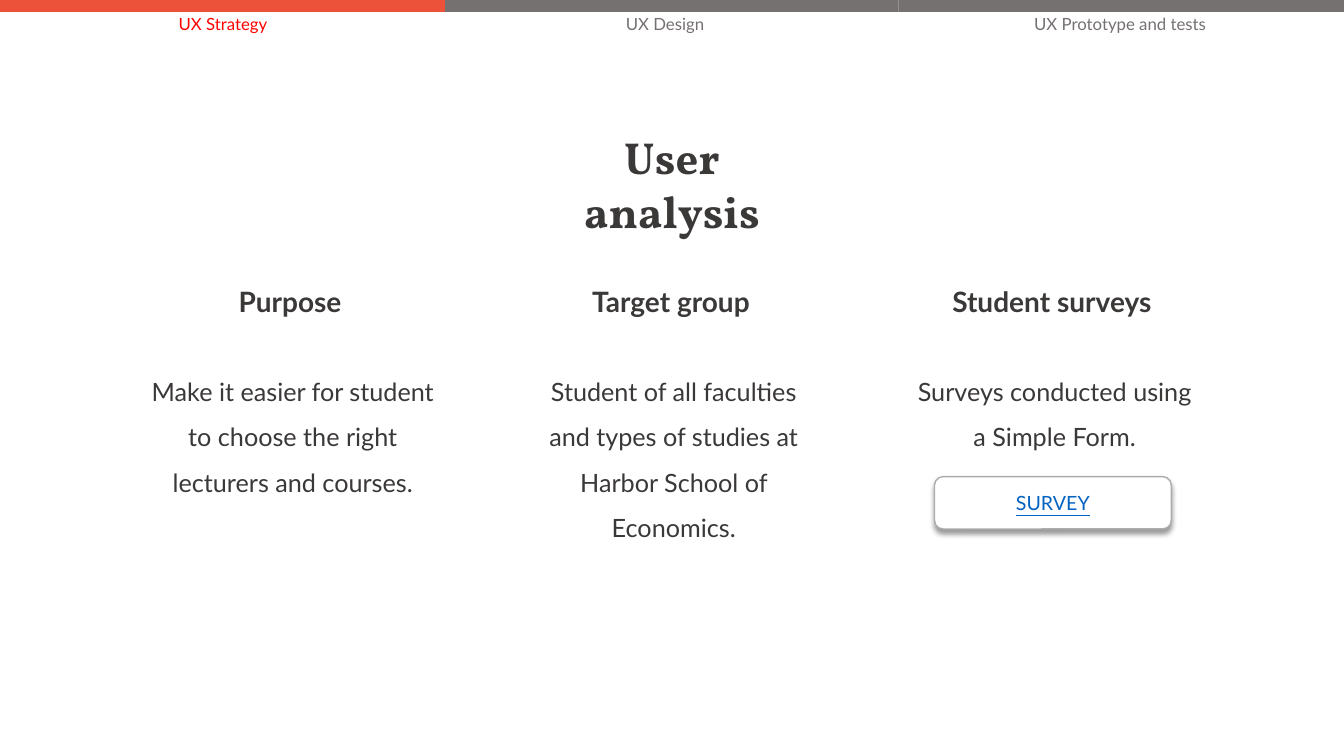
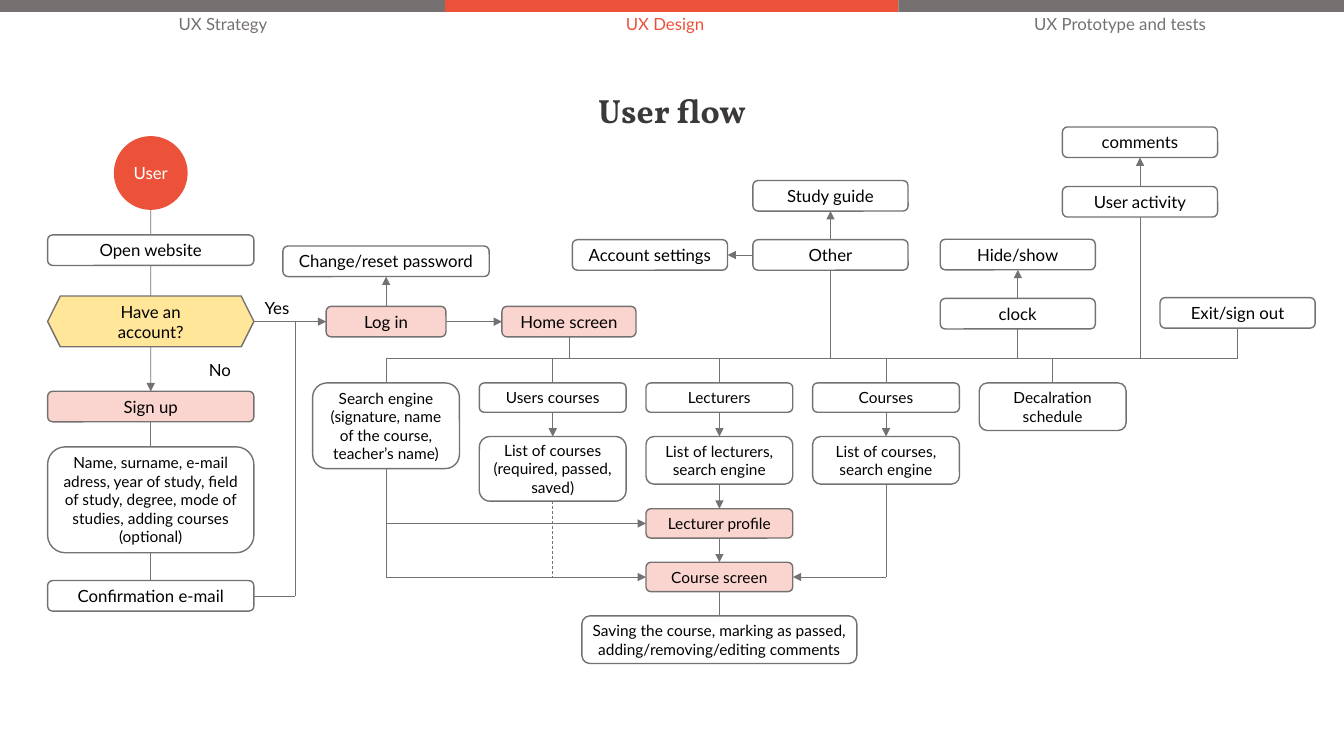
from lxml import etree
from pptx import Presentation
from pptx.dml.color import RGBColor
from pptx.enum.dml import MSO_LINE
from pptx.enum.shapes import MSO_CONNECTOR, MSO_SHAPE
from pptx.enum.text import MSO_ANCHOR, MSO_AUTO_SIZE, PP_ALIGN
from pptx.oxml import parse_xml
from pptx.oxml.ns import nsdecls, qn
from pptx.util import Cm, Pt

RECT, ROUND = MSO_SHAPE.RECTANGLE, MSO_SHAPE.ROUNDED_RECTANGLE
HEXAGON, OVAL = MSO_SHAPE.HEXAGON, MSO_SHAPE.OVAL
STRAIGHT, DASH = MSO_CONNECTOR.STRAIGHT, MSO_LINE.DASH
TOP_ANCHOR, MIDDLE = MSO_ANCHOR.TOP, MSO_ANCHOR.MIDDLE
CENTER, NO_AUTOFIT = PP_ALIGN.CENTER, MSO_AUTO_SIZE.NONE
TOP, LEFT, BOTTOM, RIGHT = range(4)

COLORS = {
    "dark": "3B3838", "gray": "767171", "accent": "EC5239", "red": "FF0000",
    "pink": "FAD4CE", "yellow": "FFE699", "white": "FFFFFF", "black": "000000",
    "button": "AFABAB", "link": "0563C1",
}
BODY_FONT, TITLE_FONT = "Lato", "Vollkorn"
SLIDE_W, SLIDE_H = 33.87, 19.05
TITLE_W = 5.6

STAGES = [
    ("UX Strategy", 0, 11.22, 5.62),
    ("UX Design", 11.22, 22.64, 16.76),
    ("UX Prototype and tests", 22.64, SLIDE_W, 28.23),
]

ANALYSIS = [
    ("Purpose", "Make it easier for student to choose the right lecturers and courses."),
    ("Target group", "Student of all faculties and types of studies at Harbor School of Economics."),
    ("Student surveys", "Surveys conducted using a Simple Form."),
]
ANALYSIS_X, ANALYSIS_PITCH, ANALYSIS_W = 7.38, 9.6, 7.7

USER_X = 3.8
SEARCH_X, USERS_X, LECTURERS_X, COURSES_X, SCHEDULE_X = [9.73 + 4.2 * i for i in range(5)]
OTHER_X, CLOCK_X, ACTIVITY_X, EXIT_X = 20.93, 25.65, 28.73, 31.19
MENU_Y, MENU_TOP, LISTS_TOP = 9.02, 9.65, 11
STEP, SIDE, CELL, LIST = (5.2, 0.77), (3.91, 0.77), (3.7, 0.74), (3.7, 1.2)

NODES = {
    "user": ("User", USER_X, 3.43, (1.86, 1.86), 12, "accent"),
    "open": ("Open website", USER_X, 5.92, STEP, 12, None),
    "account": ("Have an\naccount?", USER_X, 7.46, (5.2, 1.28), 12, "yellow"),
    "sign up": ("Sign up", USER_X, 9.86, STEP, 12, "pink"),
    "details": ("Name, surname, e-mail adress, year of study, field of study, degree, "
                "mode of studies, adding courses (optional)", USER_X, 11.26, (5.2, 2.67), 11, None),
    "confirm": ("Confirmation e-mail", USER_X, 14.63, STEP, 12, None),
    "log in": ("Log in", SEARCH_X, 7.72, (3.02, 0.77), 12, "pink"),
    "reset": ("Change/reset password", SEARCH_X, 6.2, STEP, 12, None),
    "home": ("Home screen", 14.34, 7.72, (3.38, 0.77), 12, "pink"),
    "search": ("Search engine\n(signature, name of the course, teacher’s name)",
               SEARCH_X, MENU_TOP, (3.7, 2.16), 11, None),
    "users": ("Users courses", USERS_X, MENU_TOP, CELL, 11, None),
    "lecturers": ("Lecturers", LECTURERS_X, MENU_TOP, CELL, 11, None),
    "courses": ("Courses", COURSES_X, MENU_TOP, CELL, 11, None),
    "schedule": ("Decalration schedule", SCHEDULE_X, MENU_TOP, LIST, 11, None),
    "users list": ("List of courses (required, passed, saved)",
                   USERS_X, LISTS_TOP, (3.7, 1.63), 11, None),
    "lecturers list": ("List of lecturers, search engine", LECTURERS_X, LISTS_TOP, LIST, 11, None),
    "courses list": ("List of courses, search engine", COURSES_X, LISTS_TOP, LIST, 11, None),
    "profile": ("Lecturer profile", LECTURERS_X, 12.82, CELL, 11, "pink"),
    "screen": ("Course screen", LECTURERS_X, 14.17, CELL, 11, "pink"),
    "saving": ("Saving the course, marking as passed, adding/removing/editing comments",
               LECTURERS_X, 15.52, (6.93, 1.2), 11, None),
    "other": ("Other", OTHER_X, 6.04, SIDE, 12, None),
    "guide": ("Study guide", OTHER_X, 4.55, SIDE, 12, None),
    "settings": ("Account settings", 16.38, 6.04, SIDE, 12, None),
    "clock": ("clock", CLOCK_X, 7.52, SIDE, 12, None),
    "hide": ("Hide/show", CLOCK_X, 6.03, SIDE, 12, None),
    "activity": ("User activity", ACTIVITY_X, 4.7, SIDE, 12, None),
    "comments": ("comments", ACTIVITY_X, 3.2, SIDE, 12, None),
    "exit": ("Exit/sign out", EXIT_X, 7.5, SIDE, 12, None),
}
OUTLINES = {"user": OVAL, "account": HEXAGON}
ANSWERS = [("Yes", 6.98, 7.37), ("No", 5.54, 8.94)]

PLAIN_DOWN = [("user", "open"), ("open", "account"), ("sign up", "details"),
              ("details", "confirm"), ("screen", "saving")]
ARROW_DOWN = [("account", "sign up"), ("users", "users list"), ("lecturers", "lecturers list"),
              ("courses", "courses list"), ("lecturers list", "profile"), ("profile", "screen")]
ARROW_UP = [("log in", "reset"), ("other", "guide"), ("clock", "hide"), ("activity", "comments")]
ARROW_RIGHT = [("account", "log in"), ("log in", "home")]
ABOVE_MENU = ["home", "other", "clock", "activity", "exit"]
BELOW_MENU = ["search", "users", "lecturers", "courses", "schedule"]
RETURN_X = 7.44


def rgb(name):
    return RGBColor.from_string(COLORS[name])


def write(shape, text, size, color, font=BODY_FONT, bold=False, spacing=None,
          anchor=MIDDLE, insets=(0.18, 0)):
    frame = shape.text_frame
    frame.text = text
    frame.word_wrap = True
    frame.auto_size = NO_AUTOFIT
    frame.vertical_anchor = anchor
    frame.margin_left = frame.margin_right = Cm(insets[0])
    frame.margin_top = frame.margin_bottom = Cm(insets[1])
    for paragraph in frame.paragraphs:
        paragraph.alignment = CENTER
        paragraph.line_spacing = spacing
        paragraph.font.name = font
        paragraph.font.size = Pt(size)
        paragraph.font.bold = bold
        paragraph.font.color.rgb = rgb(color)


def add_label(slide, text, center, top, width, height, size, color, **style):
    label = slide.shapes.add_textbox(Cm(center - width / 2), Cm(top), Cm(width), Cm(height))
    write(label, text, size, color, **style)


def add_box(slide, outline, left, top, width, height, fill, line=None):
    box = slide.shapes.add_shape(outline, Cm(left), Cm(top), Cm(width), Cm(height))
    box.shadow.inherit = False
    if fill:
        box.fill.solid()
        box.fill.fore_color.rgb = rgb(fill)
    else:
        box.fill.background()
    if line:
        box.line.color.rgb = rgb(line)
        box.line.width = Pt(1)
    else:
        box.line.fill.background()
    return box


def add_slide(prs, title, title_top, title_h, title_size, active, active_color):
    slide = prs.slides.add_slide(prs.slide_layouts[5])
    heading = slide.shapes.title
    heading.left, heading.top = Cm((SLIDE_W - TITLE_W) / 2), Cm(title_top)
    heading.width, heading.height = Cm(TITLE_W), Cm(title_h)
    write(heading, title, title_size, "dark", font=TITLE_FONT, bold=True,
          anchor=TOP_ANCHOR, insets=(0.25, 0.13))
    for stage, start, end, center in STAGES:
        current = stage == active
        add_box(slide, RECT, start, 0, end - start, 0.3, "accent" if current else "gray")
        add_label(slide, stage, center, 0.23, 6, 0.76, 12, active_color if current else "gray")
    return slide


def build_analysis(prs):
    slide = add_slide(prs, "User analysis", 3.15, 3.2, 32, "UX Strategy", "red")
    for i, (head, body) in enumerate(ANALYSIS):
        center = ANALYSIS_X + i * ANALYSIS_PITCH
        add_label(slide, head, center - 0.07, 7.06, ANALYSIS_W, 1.04, 20, "dark", bold=True)
        add_label(slide, body, center, 8.97, ANALYSIS_W, 4.7, 18, "dark", spacing=1.5,
                  anchor=TOP_ANCHOR, insets=(0.25, 0.13))
    survey = add_box(slide, ROUND, 23.55, 12.01, 5.97, 1.32, "white", "button")
    write(survey, "SURVEY", 14, "link")
    survey.text_frame.paragraphs[0].font.underline = True
    survey._element.spPr.find(qn("a:effectLst")).append(parse_xml(
        f'<a:outerShdw {nsdecls("a")} blurRad="{Pt(4)}" dist="{Pt(3)}" dir="5400000" '
        'algn="t" rotWithShape="0"><a:srgbClr val="000000"><a:alpha val="40000"/>'
        '</a:srgbClr></a:outerShdw>'))


def side_point(name, side):
    _, center, top, (width, height), _, _ = NODES[name]
    return {TOP: (center, top), BOTTOM: (center, top + height),
            LEFT: (center - width / 2, top + height / 2),
            RIGHT: (center + width / 2, top + height / 2)}[side]


def add_link(slide, boxes, start, end, arrow=False, dashed=False):
    points = [side_point(*spot) if spot[0] in NODES else spot for spot in (start, end)]
    link = slide.shapes.add_connector(STRAIGHT, *[Cm(v) for point in points for v in point])
    for spot, connect in ((start, link.begin_connect), (end, link.end_connect)):
        if spot[0] in NODES and spot[0] not in OUTLINES:
            connect(boxes[spot[0]], spot[1])
    link.line.color.rgb = rgb("gray")
    link.line.width = Pt(0.5)
    if dashed:
        link.line.dash_style = DASH
    if arrow:
        etree.SubElement(link.line._get_or_add_ln(), qn("a:tailEnd"), type="triangle")
    etree.SubElement(link._element.spPr, qn("a:effectLst"))


def flow_links():
    links = []
    for pairs, leave, arrive, arrow in (
            (PLAIN_DOWN, BOTTOM, TOP, False), (ARROW_DOWN, BOTTOM, TOP, True),
            (ARROW_UP, TOP, BOTTOM, True), (ARROW_RIGHT, RIGHT, LEFT, True),
            ([("other", "settings")], LEFT, RIGHT, True)):
        links += [((a, leave), (b, arrive), arrow) for a, b in pairs]
    links += [((name, BOTTOM), (NODES[name][1], MENU_Y)) for name in ABOVE_MENU]
    links += [((NODES[name][1], MENU_Y), (name, TOP)) for name in BELOW_MENU]
    links.append(((SEARCH_X, MENU_Y), (EXIT_X, MENU_Y)))

    confirm_y = side_point("confirm", RIGHT)[1]
    login_y = side_point("log in", LEFT)[1]
    profile_y = side_point("profile", LEFT)[1]
    screen_y = side_point("screen", LEFT)[1]
    links += [
        (("confirm", RIGHT), (RETURN_X, confirm_y)),
        ((RETURN_X, confirm_y), (RETURN_X, login_y)),
        (("search", BOTTOM), (SEARCH_X, screen_y)),
        ((SEARCH_X, profile_y), ("profile", LEFT), True),
        ((SEARCH_X, screen_y), ("screen", LEFT), True),
        (("courses list", BOTTOM), (COURSES_X, screen_y)),
        ((COURSES_X, screen_y), ("screen", RIGHT), True),
        (("users list", BOTTOM), (USERS_X, screen_y), False, True),
    ]
    return links


def build_flow(prs):
    slide = add_slide(prs, "User flow", 2.13, 1.27, 24, "UX Design", "accent")
    boxes = {}
    for name, (text, center, top, (width, height), size, fill) in NODES.items():
        is_user = name == "user"
        box = add_box(slide, OUTLINES.get(name, ROUND), center - width / 2, top, width, height,
                      fill, None if is_user else "gray")
        write(box, text, size, "white" if is_user else "black",
              insets=(0, 0) if is_user else (0.18, 0))
        boxes[name] = box
    for text, center, top in ANSWERS:
        add_label(slide, text, center, top, 1.6, 0.77, 12, "black")
    for link in flow_links():
        add_link(slide, boxes, *link)


def main():
    prs = Presentation()
    prs.slide_width, prs.slide_height = Cm(SLIDE_W), Cm(SLIDE_H)
    build_analysis(prs)
    build_flow(prs)
    prs.save("out.pptx")


if __name__ == "__main__":
    main()
